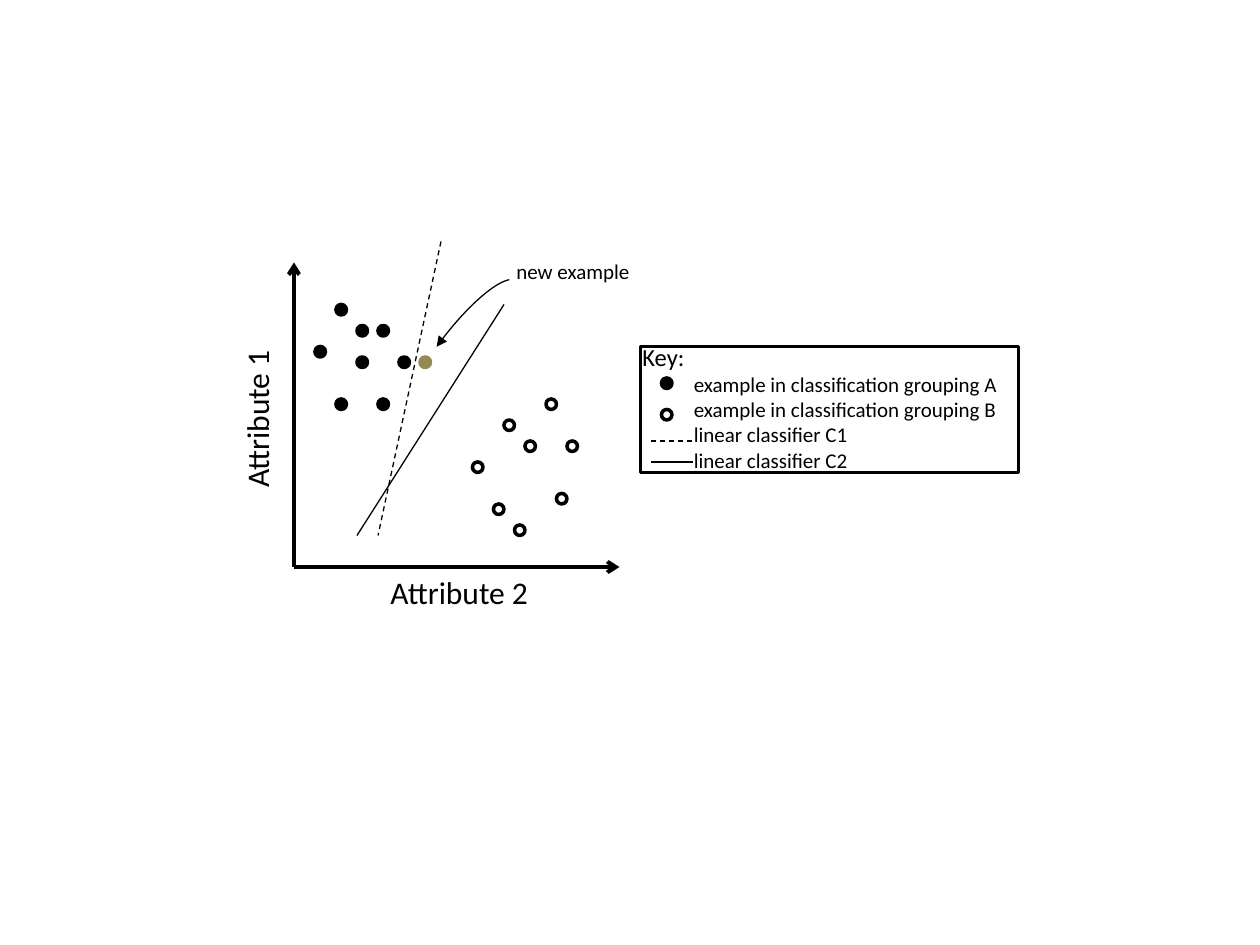
from dataclasses import dataclass

from lxml.etree import SubElement
from pptx import Presentation
from pptx.dml.color import RGBColor
from pptx.enum.dml import MSO_LINE
from pptx.enum.shapes import MSO_CONNECTOR, MSO_SHAPE
from pptx.enum.text import MSO_AUTO_SIZE
from pptx.oxml.ns import qn
from pptx.util import Emu, Pt


@dataclass(frozen=True)
class Theme:
    ink: RGBColor = RGBColor(0, 0, 0)
    paper: RGBColor = RGBColor(255, 255, 255)
    accent: RGBColor = RGBColor(0x94, 0x8A, 0x54)
    font: str = "Calibri"
    axis_size: int = 18
    heading_size: int = 14
    label_size: int = 12
    axis_weight: float = 2.25
    outline_weight: float = 2
    thin_weight: float = 0.75


THEME = Theme()
EMU_PER_PX = 7620  # 120 px to the inch
GRID = 10
DOT = 10

# Example positions in grid steps (column, row)
GROUP_A = [(32, 29), (34, 31), (36, 31), (34, 34),
           (36, 38), (38, 34), (30, 33), (32, 38)]
GROUP_B = [(48, 40), (50, 42), (45, 44), (54, 42),
           (49, 50), (53, 47), (47, 48), (52, 38)]
NEW_EXAMPLE = (40, 34)


def px(*lengths):
    return [Emu(length * EMU_PER_PX) for length in lengths]


def style_line(line, color, weight, dashed=False):
    line.color.rgb = color
    line.width = Pt(weight)
    if dashed:
        line.dash_style = MSO_LINE.DASH


def add_arrowhead(shape, end, kind):
    outline = shape.element.spPr.find(qn("a:ln"))
    SubElement(outline, qn(f"a:{end}"), type=kind)


def add_line(slide, start, stop, weight=THEME.thin_weight, dashed=False, arrow=False):
    connector = slide.shapes.add_connector(MSO_CONNECTOR.STRAIGHT, *px(*start, *stop))
    style_line(connector.line, THEME.ink, weight, dashed)
    if arrow:
        add_arrowhead(connector, "tailEnd", "arrow")
    SubElement(connector.element.spPr, qn("a:effectLst"))


def add_outline(slide, preset, box, color=THEME.ink, weight=THEME.outline_weight):
    shape = slide.shapes.add_shape(preset, *px(*box))
    shape.shadow.inherit = False
    shape.fill.background()
    style_line(shape.line, color, weight)
    return shape


def add_dot(slide, column, row, fill=THEME.ink, outline=THEME.ink):
    box = (column * GRID, row * GRID, DOT, DOT)
    dot = add_outline(slide, MSO_SHAPE.OVAL, box, outline)
    dot.fill.solid()
    dot.fill.fore_color.rgb = fill


def add_text(slide, box, lines, wrap=False, rotation=0):
    """Each line is (text, size in points, left indent in px)."""
    label = slide.shapes.add_textbox(*px(*box))
    label.rotation = rotation
    frame = label.text_frame
    frame.word_wrap = wrap
    frame.auto_size = MSO_AUTO_SIZE.SHAPE_TO_FIT_TEXT
    frame.text = "\n".join(text for text, _, _ in lines)
    for paragraph, (_, size, indent) in zip(frame.paragraphs, lines):
        if indent:
            paragraph._p.get_or_add_pPr().set("marL", str(indent * EMU_PER_PX))
        font = paragraph.runs[0].font
        font.name = THEME.font
        font.size = Pt(size)
        font.color.rgb = THEME.ink


def draw_axes(slide):
    origin = (280, 540)
    for tip in ((280, 250), (590, 540)):
        add_line(slide, origin, tip, THEME.axis_weight, arrow=True)
    add_text(slide, (166, 374, 157, 48),
             [("Attribute 1", THEME.axis_size, 0)], rotation=270)
    add_text(slide, (360, 540, 157, 48), [("Attribute 2", THEME.axis_size, 0)])


def draw_examples(slide):
    for position in GROUP_A:
        add_dot(slide, *position)
    for position in GROUP_B:
        add_dot(slide, *position, fill=THEME.paper)


def draw_classifiers(slide):
    add_line(slide, (420, 230), (360, 510), dashed=True)
    add_line(slide, (340, 510), (480, 290))


def draw_key(slide):
    entries = ["example in classification grouping A",
               "example in classification grouping B",
               "linear classifier C1",
               "linear classifier C2"]
    add_text(slide, (600, 320, 380, 137),
             [("Key:", THEME.heading_size, 0)]
             + [(entry, THEME.label_size, 49) for entry in entries], wrap=True)
    add_dot(slide, 63, 36)
    add_dot(slide, 63, 39, fill=THEME.paper)
    add_outline(slide, MSO_SHAPE.RECTANGLE, (610, 330, 360, 120))
    add_line(slide, (620, 420), (660, 420), dashed=True)
    add_line(slide, (620, 440), (660, 440))


def draw_new_example(slide):
    add_dot(slide, *NEW_EXAMPLE, fill=THEME.accent, outline=THEME.accent)
    # Curved pointer from the label to the new example
    pointer = add_outline(slide, MSO_SHAPE.ARC, (340, 320, 192, 50),
                          weight=THEME.thin_weight)
    pointer.rotation = 306.1
    pointer.adjustments[0] = 162
    pointer.adjustments[1] = 213.51
    add_arrowhead(pointer, "headEnd", "triangle")
    add_text(slide, (480, 240, 133, 36), [("new example", THEME.label_size, 0)])


def main():
    deck = Presentation()
    deck.slide_width, deck.slide_height = px(1200, 900)
    slide = deck.slides.add_slide(deck.slide_layouts[6])
    draw_axes(slide)
    draw_examples(slide)
    draw_classifiers(slide)
    draw_key(slide)
    draw_new_example(slide)
    deck.save("out.pptx")


if __name__ == "__main__":
    main()
